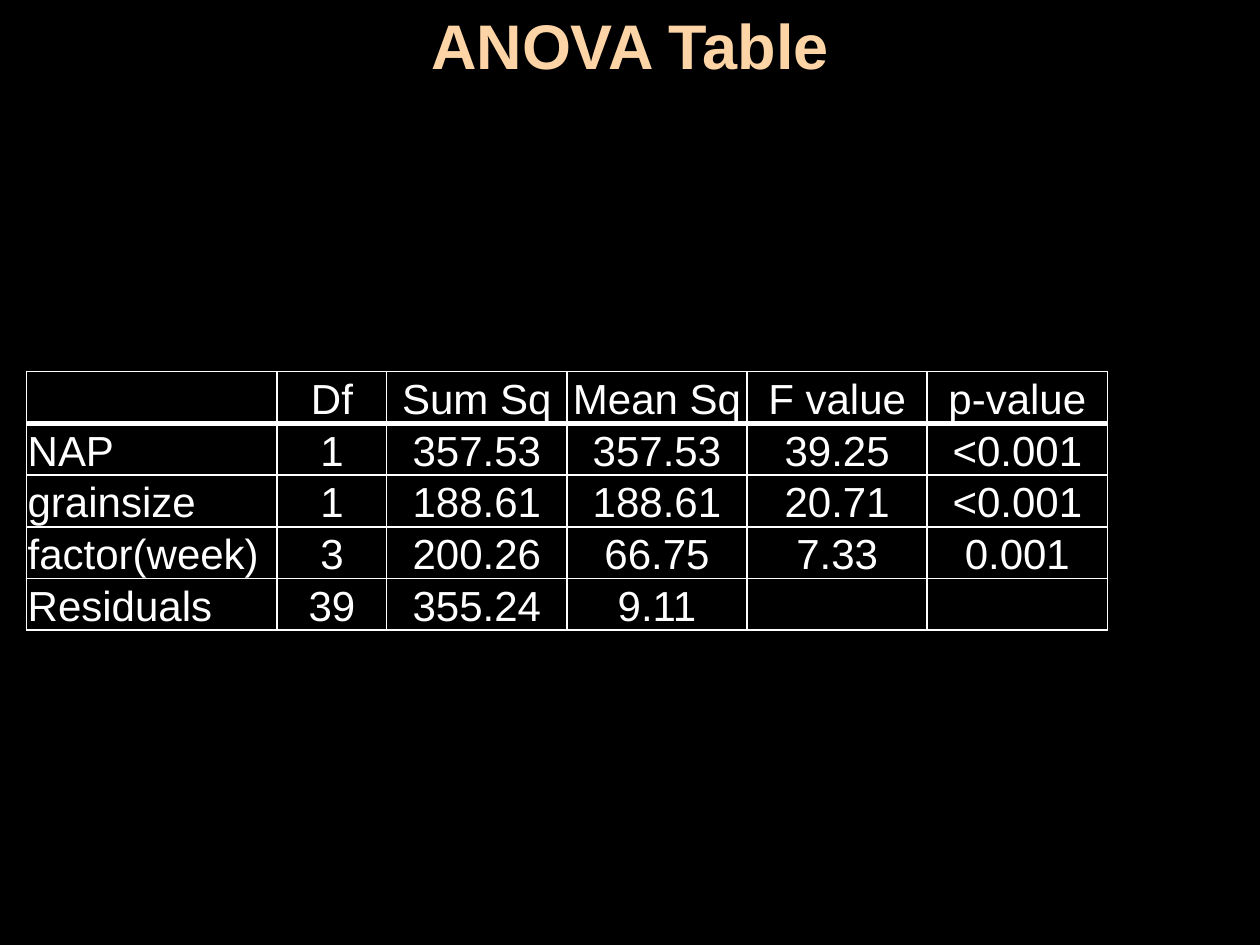
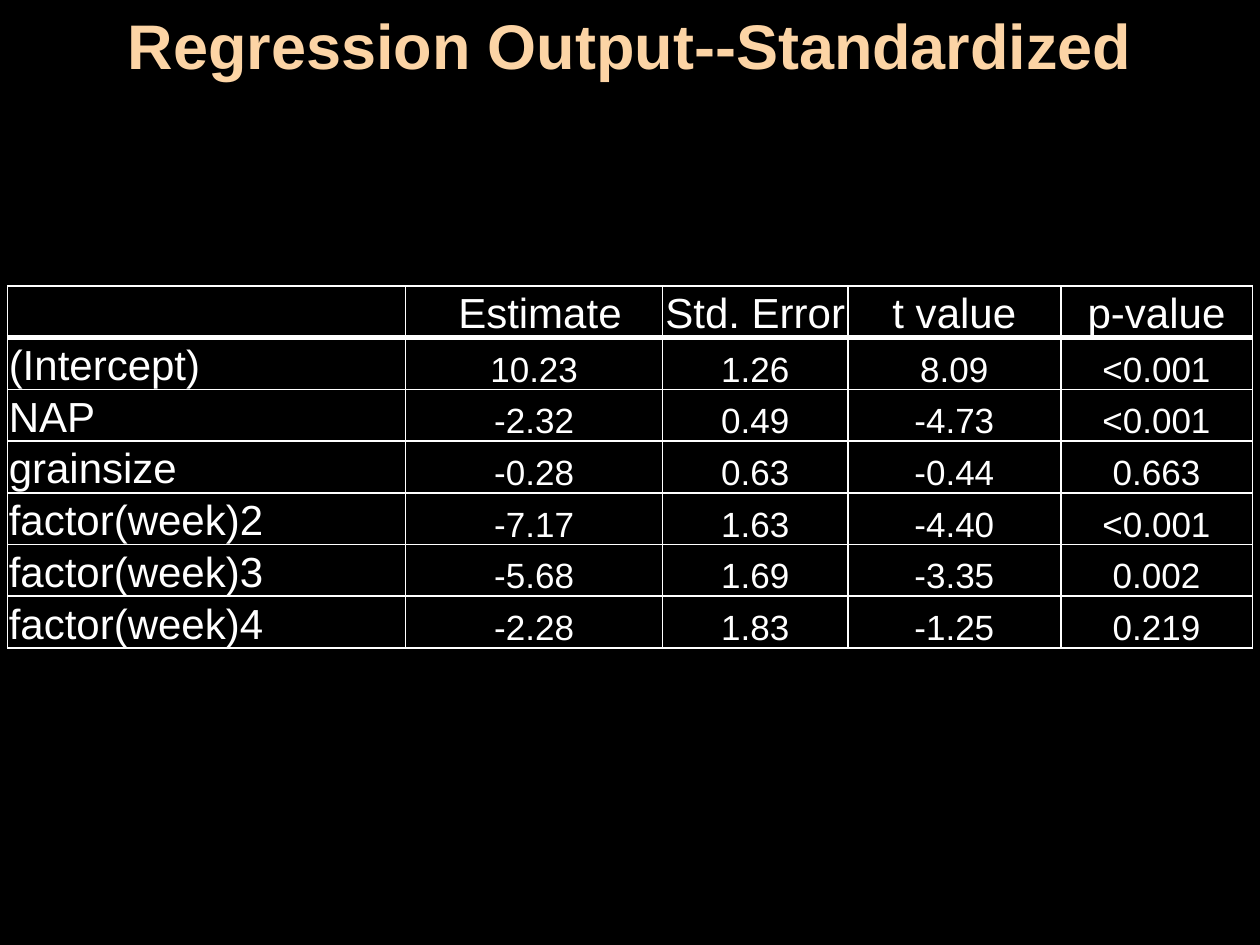
from lxml import etree
from pptx import Presentation
from pptx.dml.color import RGBColor
from pptx.enum import text
from pptx.oxml import ns
from pptx.util import Inches, Pt

HUES = {"back": "000000", "title": "FCD4A5", "ink": "FFFFFF"}
FONT = "Arial"
ROW = 0.41

ANOVA = [
    ["", "Df", "Sum Sq", "Mean Sq", "F value", "p-value"],
    ["NAP", "1", "357.53", "357.53", "39.25", "<0.001"],
    ["grainsize", "1", "188.61", "188.61", "20.71", "<0.001"],
    ["factor(week)", "3", "200.26", "66.75", "7.33", "0.001"],
    ["Residuals", "39", "355.24", "9.11", "", ""],
]
COEFS = [
    ["", " Estimate", "Std. Error", "t value", "p-value"],
    ["(Intercept)", "10.23", "1.26", "8.09", "<0.001"],
    ["NAP", "-2.32", "0.49", "-4.73", "<0.001"],
    ["grainsize", "-0.28", "0.63", "-0.44", "0.663"],
    ["factor(week)2", "-7.17", "1.63", "-4.40", "<0.001"],
    ["factor(week)3", "-5.68", "1.69", "-3.35", "0.002"],
    ["factor(week)4", "-2.28", "1.83", "-1.25", "0.219"],
]


def color(name):
    """Return the named colour."""
    return RGBColor.from_string(HUES[name])


def style(para, size, hue, align, bold=False):
    """Format a paragraph and its runs."""
    para.alignment = align
    for run in para.runs:
        run.font.name = FONT
        run.font.size = Pt(size)
        run.font.bold = bold
        run.font.color.rgb = color(hue)


def border(cell, widths):
    """Draw the left, right, top and bottom lines of a cell."""
    props = cell._tc.get_or_add_tcPr()
    for spot, (side, width) in enumerate(zip("LRTB", widths)):
        line = etree.Element(ns.qn(f"a:ln{side}"), w=str(Pt(width)))
        fill = etree.SubElement(line, ns.qn("a:solidFill"))
        etree.SubElement(fill, ns.qn("a:srgbClr"), val=HUES["ink"])
        props.insert(spot, line)


def heading(slide, words, box):
    """Place the slide title in its box."""
    title = slide.shapes.title
    title.left, title.top, title.width, title.height = map(Inches, box)
    frame = title.text_frame
    frame.text = words
    frame.word_wrap = True
    frame.auto_size = text.MSO_AUTO_SIZE.SHAPE_TO_FIT_TEXT
    frame.vertical_anchor = text.MSO_ANCHOR.TOP
    style(frame.paragraphs[0], 36, "title", text.PP_ALIGN.CENTER, True)


def grid(slide, data, left, top, widths, size):
    """Place a ruled table whose values have the given text size."""
    frame = slide.shapes.add_table(
        len(data), len(widths), Inches(left), Inches(top),
        Inches(sum(widths)), Inches(ROW * len(data)))
    table = frame.table
    table.first_row = table.horz_banding = False
    for col, width in zip(table.columns, widths):
        col.width = Inches(width)
    for r, row in enumerate(data):
        table.rows[r].height = Inches(ROW)
        for c, words in enumerate(row):
            cell = table.cell(r, c)
            cell.text = words
            cell.fill.background()
            cell.vertical_anchor = text.MSO_ANCHOR.BOTTOM
            cell.margin_left = cell.margin_right = cell.margin_top = Inches(0.01)
            cell.margin_bottom = 0
            style(cell.text_frame.paragraphs[0],
                  size if r and c else 24, "ink",
                  text.PP_ALIGN.CENTER if c else text.PP_ALIGN.LEFT)
            border(cell, (1, 1, 3 if r == 1 else 1, 3 if r == 0 else 1))


def page(deck, words, *table):
    """Add a slide with a title and a table."""
    slide = deck.slides.add_slide(deck.slide_layouts[5])
    heading(slide, words, (0, 0, 10, 0.71))
    grid(slide, *table)


def main():
    """Build the deck and save it."""
    deck = Presentation()
    deck.slide_width, deck.slide_height = Inches(10), Inches(7.5)
    back = deck.slide_master.background.fill
    back.solid()
    back.fore_color.rgb = color("back")
    page(deck, "ANOVA Table", ANOVA, 0.21, 2.95,
         [1.99, 0.87] + [1.43] * 4, 24)
    page(deck, "Regression Output--Standardized", COEFS, 0.06, 2.27,
         [3.16, 2.04, 1.47, 1.69, 1.52], 20)
    deck.save("out.pptx")


if __name__ == "__main__":
    main()
